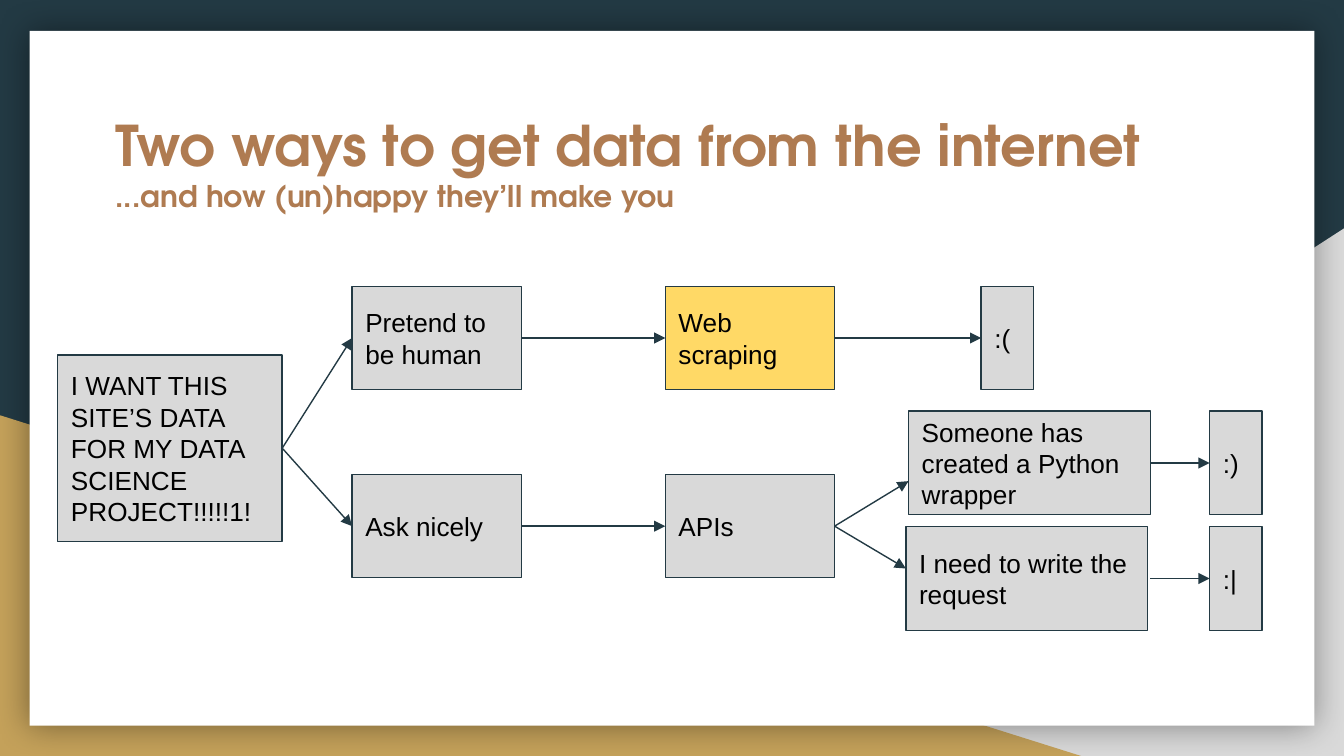
from dataclasses import dataclass
from typing import Optional

import pptx
import pptx.dml.color
import pptx.enum.shapes
import pptx.enum.text
import pptx.oxml
import pptx.oxml.ns
import pptx.util
from pptx.util import Inches

COLORS = {
    "navy": "233A44",
    "gray": "D9D9D9",
    "gold": "C4A15A",
    "yellow": "FFD966",
    "white": "FFFFFF",
    "brown": "AF7B51",
    "black": "000000",
}
SHAPES = pptx.enum.shapes.MSO_SHAPE
ANCHORS = pptx.enum.text.MSO_ANCHOR
BOX_HEIGHT = 0.77
STEP_WIDTH, CASE_WIDTH, MOOD_WIDTH = 1.26, 1.8, 0.39
TOP_ROW, BOTTOM_ROW = 2.13, 3.53
WRAPPER_ROW, REQUEST_ROW = 3.06, 3.92


@dataclass
class Box:
    text: str
    left: float
    top: float
    width: float
    height: float = BOX_HEIGHT
    color: str = "gray"

    @property
    def right(self) -> float:
        return self.left + self.width

    @property
    def middle(self) -> float:
        return self.top + self.height / 2


@dataclass
class Arrow:
    start: Box
    end: Box
    end_y: Optional[float] = None  # the middle of the end box unless given
    gap: float = 0  # space between the start box and the arrow


def rgb(name: str) -> pptx.dml.color.RGBColor:
    return pptx.dml.color.RGBColor.from_string(COLORS[name])


def add_filled_shape(slide, kind, left: float, top: float, width: float, height: float, color: str):
    shape = slide.shapes.add_shape(kind, Inches(left), Inches(top), Inches(width), Inches(height))
    shape.shadow.inherit = False
    shape.fill.solid()
    shape.fill.fore_color.rgb = rgb(color)
    shape.line.fill.background()
    return shape


def set_margins(text_frame) -> None:
    text_frame.word_wrap = True
    text_frame.margin_left = text_frame.margin_right = Inches(0.1)
    text_frame.margin_top = text_frame.margin_bottom = Inches(0.1)


def format_paragraph(paragraph, font_name: str, size: float, color: str, bold: bool = False) -> None:
    paragraph.alignment = pptx.enum.text.PP_ALIGN.LEFT
    paragraph.font.name = font_name
    paragraph.font.size = pptx.util.Pt(size)
    paragraph.font.bold = bold
    paragraph.font.color.rgb = rgb(color)


def add_backdrop(slide) -> None:
    slide.background.fill.solid()
    slide.background.fill.fore_color.rgb = rgb("navy")
    right_corner = add_filled_shape(slide, SHAPES.RIGHT_TRIANGLE, 3.92, 1.7, 6.08, 3.93, "gray")
    right_corner._element.spPr.xfrm.set("flipH", "1")
    add_filled_shape(slide, SHAPES.RIGHT_TRIANGLE, 0, 3.09, 8.06, 2.54, "gold")

    # White card with a soft shadow all round
    card = add_filled_shape(slide, SHAPES.RECTANGLE, 0.22, 0.23, 9.56, 5.17, "white")
    effects = card._element.spPr.find(pptx.oxml.ns.qn("a:effectLst"))
    effects.append(pptx.oxml.parse_xml(
        f'<a:outerShdw {pptx.oxml.ns.nsdecls("a")} blurRad="{pptx.util.Pt(18)}" dist="0" dir="0" '
        f'algn="ctr" rotWithShape="0"><a:srgbClr val="{COLORS["black"]}">'
        '<a:alpha val="40000"/></a:srgbClr></a:outerShdw>'
    ))


def add_title(slide) -> None:
    title = slide.shapes.title
    title.left, title.top = Inches(0.76), Inches(0.72)
    title.width, title.height = Inches(8.74), Inches(0.77)
    text_frame = title.text_frame
    text_frame.text = "Two ways to get data from the internet\n...and how (un)happy they’ll make you"
    set_margins(text_frame)
    text_frame.auto_size = pptx.enum.text.MSO_AUTO_SIZE.NONE
    text_frame.vertical_anchor = ANCHORS.TOP
    for paragraph, size in zip(text_frame.paragraphs, (30, 16)):
        format_paragraph(paragraph, "TeX Gyre Adventor", size, "brown", bold=True)
        paragraph.line_spacing = 1.0
        paragraph.space_before = pptx.util.Pt(0)
    # Bring the title in front of the card
    slide.shapes._spTree.append(title._element)


def add_box(slide, box: Box) -> None:
    shape = add_filled_shape(slide, SHAPES.RECTANGLE, box.left, box.top, box.width, box.height, box.color)
    shape.line.color.rgb = rgb("navy")
    shape.line.width = pptx.util.Pt(0.75)
    text_frame = shape.text_frame
    text_frame.text = box.text
    set_margins(text_frame)
    text_frame.vertical_anchor = ANCHORS.MIDDLE
    format_paragraph(text_frame.paragraphs[0], "Arial", 14, "black")


def add_arrow(slide, arrow: Arrow) -> None:
    end_y = arrow.end.middle if arrow.end_y is None else arrow.end_y
    connector = slide.shapes.add_connector(
        pptx.enum.shapes.MSO_CONNECTOR.STRAIGHT,
        Inches(arrow.start.right + arrow.gap), Inches(arrow.start.middle),
        Inches(arrow.end.left), Inches(end_y),
    )
    connector.line.color.rgb = rgb("navy")
    connector.line.width = pptx.util.Pt(0.75)
    namespace = pptx.oxml.ns.nsdecls("a")
    connector.line._get_or_add_ln().append(
        pptx.oxml.parse_xml(f'<a:tailEnd {namespace} type="triangle"/>'))
    connector._element.spPr.append(pptx.oxml.parse_xml(f"<a:effectLst {namespace}/>"))


def main() -> None:
    presentation = pptx.Presentation()
    presentation.slide_width = Inches(10)
    presentation.slide_height = Inches(10) * 9 // 16
    slide = presentation.slides.add_slide(presentation.slide_layouts[5])
    add_backdrop(slide)
    add_title(slide)

    # Steps of the flow chart
    wish = Box("I WANT THIS SITE’S DATA FOR MY DATA SCIENCE PROJECT!!!!!1!", 0.43, 2.64, 1.67, 1.39)
    pretend = Box("Pretend to be human", 2.62, TOP_ROW, STEP_WIDTH)
    ask = Box("Ask nicely", 2.62, BOTTOM_ROW, STEP_WIDTH)
    scraping = Box("Web scraping", 4.95, TOP_ROW, STEP_WIDTH, color="yellow")
    apis = Box("APIs", 4.95, BOTTOM_ROW, STEP_WIDTH)
    wrapper = Box("Someone has created a Python wrapper", 6.76, WRAPPER_ROW, CASE_WIDTH)
    request = Box("I need to write the request", 6.74, REQUEST_ROW, CASE_WIDTH)
    sad = Box(":(", 7.3, TOP_ROW, MOOD_WIDTH)
    happy = Box(":)", 9, WRAPPER_ROW, MOOD_WIDTH)
    neutral = Box(":|", 9, REQUEST_ROW, MOOD_WIDTH)
    for box in (wish, pretend, ask, scraping, apis, wrapper, request, sad, happy, neutral):
        add_box(slide, box)

    # Arrows between the steps
    arrows = (
        Arrow(wish, pretend),
        Arrow(wish, ask),
        Arrow(pretend, scraping),
        Arrow(ask, apis),
        Arrow(scraping, sad),
        Arrow(apis, wrapper, end_y=3.58),
        Arrow(apis, request, end_y=4.23),
        Arrow(wrapper, happy),
        Arrow(request, neutral, gap=0.02),
    )
    for arrow in arrows:
        add_arrow(slide, arrow)

    presentation.save("out.pptx")


if __name__ == "__main__":
    main()
